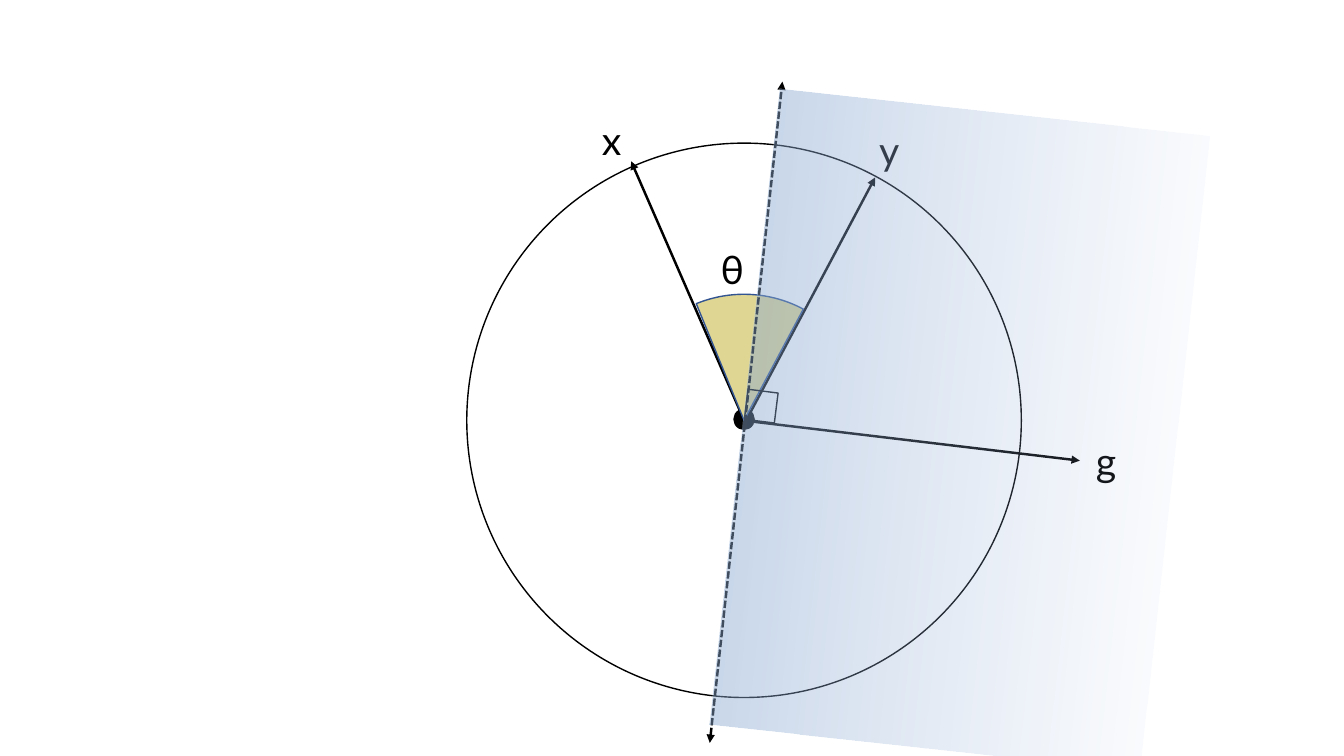
"""Draw the angle between vectors x and y, split by the half-plane normal to g."""
from dataclasses import dataclass
from typing import Optional

from lxml.etree import SubElement
from pptx import Presentation
from pptx.dml.color import RGBColor
from pptx.enum.dml import MSO_LINE_DASH_STYLE as Dash
from pptx.enum.shapes import MSO_CONNECTOR as Connector
from pptx.enum.shapes import MSO_SHAPE as Preset
from pptx.enum.text import MSO_AUTO_SIZE as AutoSize
from pptx.oxml.ns import qn
from pptx.util import Emu, Pt

PX_PER_INCH = 100


@dataclass(frozen=True)
class Theme:
    ink: str = "000000"
    sector_fill: str = "DFD693"
    sector_line: str = "325491"
    plane_far: str = "ABC0E4"
    plane_near: str = "87A7D0"
    plane_far_alpha: int = 0
    plane_near_alpha: int = 53
    font: str = "Lato"
    label_size: int = 28
    outline_width: float = 1
    vector_width: float = 1.75


@dataclass(frozen=True)
class Figure:
    preset: Preset
    left: int
    top: int
    width: int
    height: int
    fill: Optional[str] = None
    line: Optional[str] = None
    rotation: float = 0
    angles: tuple[float, ...] = ()


@dataclass(frozen=True)
class Vector:
    start: tuple[int, int]
    end: tuple[int, int]
    double: bool = False


@dataclass(frozen=True)
class Label:
    text: str
    left: int
    top: int


THEME = Theme()
LABEL_WIDTH, LABEL_HEIGHT = 39, 57
ADJUSTMENT_PER_DEGREE = 0.6

CIRCLE = Figure(Preset.OVAL, 463, 142, 550, 550, line=THEME.ink)
ORIGIN = Figure(Preset.OVAL, 728, 406, 20, 20, THEME.ink, THEME.ink)
SECTOR = Figure(Preset.PIE, 613, 292, 250, 250, THEME.sector_fill,
                THEME.sector_line, angles=(247.73, 298.07))
RIGHT_ANGLE = Figure(Preset.RECTANGLE, 740, 388, 30, 30,
                     line=THEME.ink, rotation=7.2)
HALF_PLANE = Figure(Preset.RECTANGLE, 737, 109, 429, 635, rotation=6.3)

VECTOR_X = Vector((738, 417), (626, 160))
VECTOR_Y = Vector((738, 421), (868, 176))
VECTOR_G = Vector((744, 418), (1071, 457))
BOUNDARY = Vector((704, 737), (776, 81), double=True)

DRAWING_ORDER = (
    CIRCLE, VECTOR_X, ORIGIN, VECTOR_Y,
    Label("x", 587, 110), Label("y", 862, 120),
    SECTOR, Label("θ", 705, 238),
    VECTOR_G, Label("g", 1077, 429), BOUNDARY, RIGHT_ANGLE,
)


def px(length: int) -> Emu:
    """Turn px into EMU."""
    return Emu(length * 914400 // PX_PER_INCH)


def set_all(target, formats: dict) -> None:
    """Set each named attribute on the target."""
    for name, value in formats.items():
        setattr(target, name, value)


def draw_figure(slide, figure: Figure):
    """Draw a preset shape with optional fill and outline."""
    box = (figure.left, figure.top, figure.width, figure.height)
    shape = slide.shapes.add_shape(figure.preset, *map(px, box))
    shape.shadow.inherit = False
    shape.rotation = figure.rotation
    for index, angle in enumerate(figure.angles):
        shape.adjustments[index] = angle * ADJUSTMENT_PER_DEGREE
    if figure.fill:
        shape.fill.solid()
        shape.fill.fore_color.rgb = RGBColor.from_string(figure.fill)
    else:
        shape.fill.background()
    if figure.line:
        shape.line.color.rgb = RGBColor.from_string(figure.line)
        shape.line.width = Pt(THEME.outline_width)
    else:
        shape.line.fill.background()
    return shape


def draw_vector(slide, vector: Vector) -> None:
    """Draw an arrow, dashed and two-headed when double."""
    ends = map(px, vector.start + vector.end)
    connector = slide.shapes.add_connector(Connector.STRAIGHT, *ends)
    line = connector.line
    line.color.rgb = RGBColor.from_string(THEME.ink)
    line.width = Pt(THEME.vector_width)
    if vector.double:
        line.dash_style = Dash.SQUARE_DOT
    line_xml = line.fill._xPr
    for tag in ("a:headEnd", "a:tailEnd") if vector.double else ("a:tailEnd",):
        SubElement(line_xml, qn(tag), type="triangle")
    SubElement(connector._element.spPr, qn("a:effectLst"))


def draw_label(slide, label: Label) -> None:
    """Write a one-letter label."""
    box = (label.left, label.top, LABEL_WIDTH, LABEL_HEIGHT)
    frame = slide.shapes.add_textbox(*map(px, box)).text_frame
    set_all(frame, {"word_wrap": True, "auto_size": AutoSize.SHAPE_TO_FIT_TEXT})
    run = frame.paragraphs[0].add_run()
    run.text = label.text
    set_all(run.font, {"name": THEME.font, "size": Pt(THEME.label_size)})
    run.font.color.rgb = RGBColor.from_string(THEME.ink)


def draw_half_plane(slide) -> None:
    """Draw the half-plane fading away from the boundary."""
    fill = draw_figure(slide, HALF_PLANE).fill
    fill.gradient()
    fill.gradient_angle = 180
    stops = (
        (0, THEME.plane_far, THEME.plane_far_alpha),
        (1, THEME.plane_near, THEME.plane_near_alpha),
    )
    for stop, (position, color, alpha) in zip(fill.gradient_stops, stops):
        stop.position = position
        stop.color.rgb = RGBColor.from_string(color)
        color_xml = stop._gs.find(qn("a:srgbClr"))
        SubElement(color_xml, qn("a:alpha"), val=str(alpha * 1000))


def main() -> None:
    """Build and save the slide."""
    presentation = Presentation()
    set_all(presentation, {"slide_width": px(1333), "slide_height": px(750)})
    slide = presentation.slides.add_slide(presentation.slide_layouts[6])
    draw = {Figure: draw_figure, Vector: draw_vector, Label: draw_label}
    for item in DRAWING_ORDER:
        draw[type(item)](slide, item)
    draw_half_plane(slide)
    presentation.save("out.pptx")


if __name__ == "__main__":
    main()
